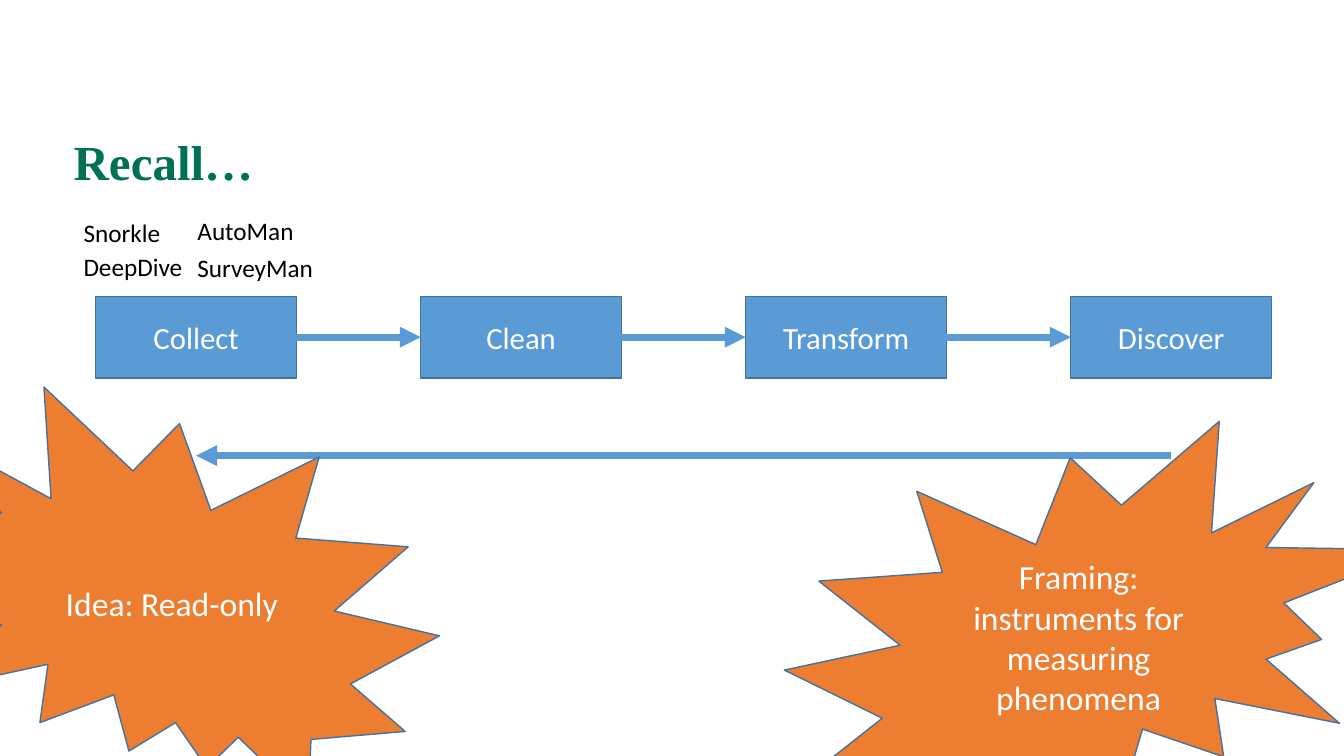
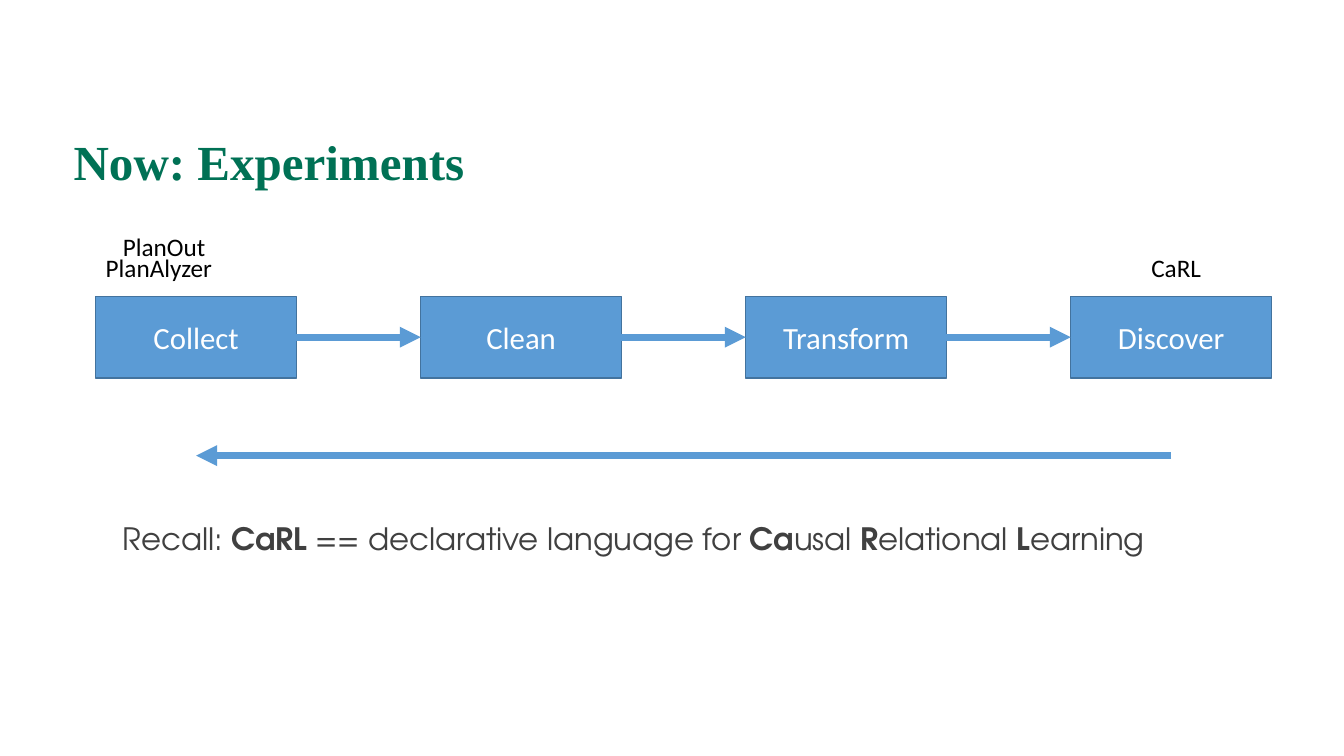
from dataclasses import dataclass

from lxml.etree import SubElement
from pptx import Presentation
from pptx.dml.color import RGBColor
from pptx.enum.shapes import MSO_CONNECTOR, MSO_SHAPE
from pptx.enum.text import MSO_ANCHOR, MSO_AUTO_SIZE, PP_ALIGN
from pptx.oxml.ns import qn
from pptx.util import Emu, Pt


@dataclass(frozen=True)
class Theme:
    """Colours, fonts and sizes shared by the slides."""

    green: str = "007155"
    blue: str = "5B9BD5"
    edge: str = "43739E"
    orange: str = "ED7D31"
    white: str = "FFFFFF"
    black: str = "000000"
    grey: str = "404040"
    heading_font: str = "Times New Roman"
    shape_font: str = "Calibri"
    note_font: str = "TeX Gyre Adventor"
    heading_size: int = 35
    stage_size: int = 22
    label_size: int = 18
    burst_size: int = 24
    note_size: int = 22
    edge_width: int = 1
    arrow_width: int = 5


THEME = Theme()
PX = 9144
PAGE_SIZE = (1333, 750)
TITLE_BOX = (63, 91, 1150, 145)
PIPELINE_BOX = (95, 294, 1166, 158)
STAGES = ["Collect", "Clean", "Transform", "Discover"]
STAGE_SIZE = (199, 81)
LABEL_SIZE = (161, 40)


def px(*lengths):
    """Turn px lengths into EMU."""
    return [Emu(round(length * PX)) for length in lengths]


def apply(target, values):
    """Set each named attribute of the target."""
    for name, value in values.items():
        setattr(target, name, value)


def write(para, pieces, font, size, colour):
    """Add (text, bold) pieces to a paragraph in one font."""
    for text, bold in pieces:
        span = para.add_run()
        span.text = text
        apply(span.font, {"name": font, "size": Pt(size), "bold": bold})
        span.font.color.rgb = RGBColor.from_string(colour)


def add_title(page, text, box):
    """Place and format the title placeholder."""
    title = page.shapes.title
    apply(title, dict(zip(("left", "top", "width", "height"), px(*box))))
    apply(title.text_frame, {
        "vertical_anchor": MSO_ANCHOR.MIDDLE,
        "auto_size": MSO_AUTO_SIZE.NONE,
        "word_wrap": True,
    })
    para = title.text_frame.paragraphs[0]
    apply(para, {"alignment": PP_ALIGN.LEFT, "line_spacing": 0.9})
    write(para, [(text, True)], THEME.heading_font, THEME.heading_size, THEME.green)


def add_filled(page, kind, text, box, fill, size):
    """Draw an outlined shape with centred white text."""
    shape = page.shapes.add_shape(kind, *px(*box))
    shape.shadow.inherit = False
    shape.fill.solid()
    shape.fill.fore_color.rgb = RGBColor.from_string(fill)
    shape.line.color.rgb = RGBColor.from_string(THEME.edge)
    shape.line.width = Pt(THEME.edge_width)
    apply(shape.text_frame, {"word_wrap": True, "vertical_anchor": MSO_ANCHOR.MIDDLE})
    para = shape.text_frame.paragraphs[0]
    para.alignment = PP_ALIGN.CENTER
    write(para, [(text, False)], THEME.shape_font, size, THEME.white)
    return shape


def add_arrow(page, start, end):
    """Draw a straight arrow from start to end."""
    arrow = page.shapes.add_connector(MSO_CONNECTOR.STRAIGHT, *px(*start, *end))
    arrow.line.color.rgb = RGBColor.from_string(THEME.blue)
    arrow.line.width = Pt(THEME.arrow_width)
    properties = arrow._element.spPr
    SubElement(properties.find(qn("a:ln")), qn("a:tailEnd"), type="triangle")
    SubElement(properties, qn("a:effectLst"))


def add_pipeline(page, box):
    """Draw the row of stages and the arrow leading back below it."""
    left, top, width, height = box
    stage_width, stage_height = STAGE_SIZE
    pitch = (width - stage_width) / (len(STAGES) - 1)
    middle = top + stage_height / 2
    for index, name in enumerate(STAGES):
        x = left + index * pitch
        add_filled(page, MSO_SHAPE.RECTANGLE, name, (x, top, *STAGE_SIZE),
                   THEME.blue, THEME.stage_size)
        if index:
            add_arrow(page, (x - pitch + stage_width, middle), (x, middle))
    inset = stage_width / 2
    bottom = top + height
    add_arrow(page, (left + width - inset, bottom), (left + inset, bottom))


def add_text(page, box, pieces, font, size, colour, auto_size, **para_format):
    """Place a wrapped text box with one paragraph."""
    frame = page.shapes.add_textbox(*px(*box)).text_frame
    apply(frame, {"word_wrap": True, "auto_size": auto_size})
    para = frame.paragraphs[0]
    apply(para, para_format)
    write(para, pieces, font, size, colour)


def add_labels(page, labels, box):
    """Place tool names at offsets from the pipeline's corner."""
    for text, across, above in labels:
        add_text(page, (box[0] + across, box[1] - above, *LABEL_SIZE), [(text, False)],
                 THEME.shape_font, THEME.label_size, THEME.black,
                 MSO_AUTO_SIZE.SHAPE_TO_FIT_TEXT)


def add_burst(page, text, box, mirrored=False):
    """Draw an orange burst, mirrored on request."""
    burst = add_filled(page, MSO_SHAPE.EXPLOSION2, text, box, THEME.orange, THEME.burst_size)
    if mirrored:
        burst._element.spPr.find(qn("a:xfrm")).set("flipH", "1")


def add_note(page, pieces, box):
    """Write the centred note under the pipeline."""
    add_text(page, box, pieces, THEME.note_font, THEME.note_size, THEME.grey,
             MSO_AUTO_SIZE.NONE, alignment=PP_ALIGN.CENTER, line_spacing=1.5)


def add_pipeline_page(deck, title, labels):
    """Start a slide with its title, pipeline and tool names."""
    page = deck.slides.add_slide(deck.slide_layouts.get_by_name("Title Only"))
    add_title(page, title, TITLE_BOX)
    add_pipeline(page, PIPELINE_BOX)
    add_labels(page, labels, PIPELINE_BOX)
    return page


def add_recall_page(deck):
    """Build the slide that recalls earlier tools."""
    page = add_pipeline_page(deck, "Recall…", [
        ("AutoMan", 91, 85),
        ("SurveyMan", 91, 49),
        ("Snorkle", -22, 83),
        ("DeepDive", -22, 50),
    ])
    add_burst(page, "Framing: instruments for measuring phenomena", (778, 418, 630, 414))
    add_burst(page, "Idea: Read-only", (-137, 384, 573, 414), mirrored=True)


def add_experiments_page(deck):
    """Build the slide on experiments."""
    page = add_pipeline_page(deck, "Now: Experiments", [
        ("CaRL", 1037, 49),
        ("PlanAlyzer", 0, 49),
        ("PlanOut", 17, 69),
    ])
    add_note(page, [
        ("Recall: ", False),
        ("CaRL", True),
        (" == declarative language for ", False),
        ("Ca", True),
        ("usal ", False),
        ("R", True),
        ("elational ", False),
        ("L", True),
        ("earning", False),
    ], (63, 492, 1131, 167))


def main():
    """Build and save the deck."""
    deck = Presentation()
    apply(deck, dict(zip(("slide_width", "slide_height"), px(*PAGE_SIZE))))
    add_recall_page(deck)
    add_experiments_page(deck)
    deck.save("out.pptx")


if __name__ == "__main__":
    main()
